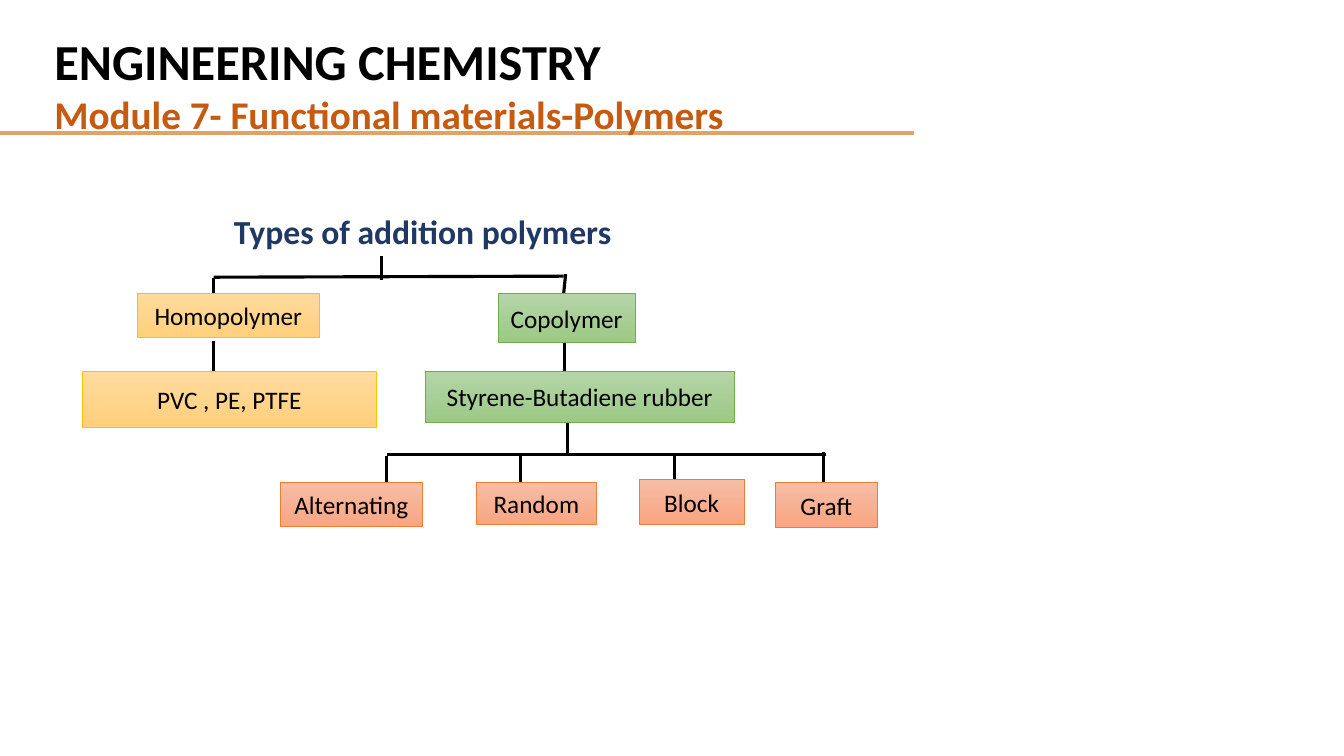
"""Builds the slide on types of addition polymers."""
from pptx import Presentation
from pptx.dml.color import RGBColor as RGB
from pptx.enum.shapes import MSO_CONNECTOR as Link, MSO_SHAPE as Shape
from pptx.enum.text import MSO_ANCHOR as Anchor, PP_ALIGN as Align
from pptx.oxml.ns import qn
from pptx.util import Pt
from lxml.etree import SubElement

PX = 9144
BLACK = RGB(0x00, 0x00, 0x00)
NAVY = RGB(0x20, 0x38, 0x64)
RUST = RGB(0xC5, 0x5A, 0x11)
TAN = RGB(0xDF, 0xA2, 0x67)
GOLD = RGB(0xFF, 0xDB, 0x9E), RGB(0xFF, 0xD0, 0x7C), RGB(0xFF, 0xC0, 0x00)
GREEN = RGB(0xB5, 0xD5, 0xA7), RGB(0x9C, 0xC9, 0x87), RGB(0x70, 0xAD, 0x47)
CORAL = RGB(0xF7, 0xBD, 0xA5), RGB(0xF8, 0xA5, 0x82), RGB(0xED, 0x7D, 0x31)

deck = Presentation()
deck.slide_width, deck.slide_height = 1333 * PX, 750 * PX
slide = deck.slides.add_slide(deck.slide_layouts[6])
shapes = slide.shapes


def draw_line(ends, color, width):
    line = shapes.add_connector(Link.STRAIGHT, *[n * PX for n in ends])
    line.line.color.rgb = color
    line.line.width = Pt(width)
    SubElement(line._element.spPr, qn("a:effectLst"))


def set_text(para, text, size, color, bold=False):
    para.text = text
    font = para.font
    font.name, font.size, font.bold = "Calibri", Pt(size), bold
    font.color.rgb = color


draw_line((-1, 132, 907, 132), TAN, 3)

title = shapes.add_textbox(44 * PX, 25 * PX, 875 * PX, 118 * PX).text_frame
title.word_wrap = True
set_text(title.paragraphs[0], "ENGINEERING CHEMISTRY", 36, BLACK, True)
set_text(title.add_paragraph(), "Module 7- Functional materials-Polymers", 28, RUST, True)

head = shapes.add_textbox(130 * PX, 215 * PX, 501 * PX, 38 * PX).text_frame
head.word_wrap = True
head.margin_left = 102 * PX
head.paragraphs[0].line_spacing = 0.7
set_text(head.paragraphs[0], "Types of addition polymers", 24, NAVY, True)

bars = [(212, 275, 559, 274), (384, 451, 819, 451)]
stems = [(378, 254, 378, 278), (212, 276, 212, 292), (561, 272, 559, 292)]
drops = [(x, y, x, y + 30) for x, y in [
    (212, 338), (560, 339), (563, 420),
    (383, 452), (516, 452), (669, 449), (817, 448)]]
for ends in bars + stems + drops:
    draw_line(ends, BLACK, 2.25)

boxes = [
    ("Homopolymer", 136, 291, 181, 44, GOLD),
    ("Copolymer", 494, 291, 136, 49, GREEN),
    ("PVC , PE, PTFE", 82, 368, 291, 56, GOLD),
    ("Styrene-Butadiene rubber", 422, 368, 306, 51, GREEN),
    ("Alternating", 278, 479, 141, 43, CORAL),
    ("Random", 472, 479, 120, 41, CORAL),
    ("Block", 634, 476, 104, 44, CORAL),
    ("Graft", 769, 479, 101, 44, CORAL),
]
for text, left, top, width, height, (light, dark, edge) in boxes:
    box = shapes.add_shape(Shape.RECTANGLE, left * PX, top * PX, width * PX, height * PX)
    box.shadow.inherit = False
    box.fill.gradient()
    box.fill.gradient_angle = 270
    for stop, color in zip(box.fill.gradient_stops, (light, dark)):
        stop.color.rgb = color
    box.line.color.rgb = edge
    box.line.width = Pt(0.5)
    frame = box.text_frame
    frame.word_wrap = True
    frame.vertical_anchor = Anchor.MIDDLE
    frame.paragraphs[0].alignment = Align.CENTER
    set_text(frame.paragraphs[0], text, 18, BLACK)

deck.save("out.pptx")
